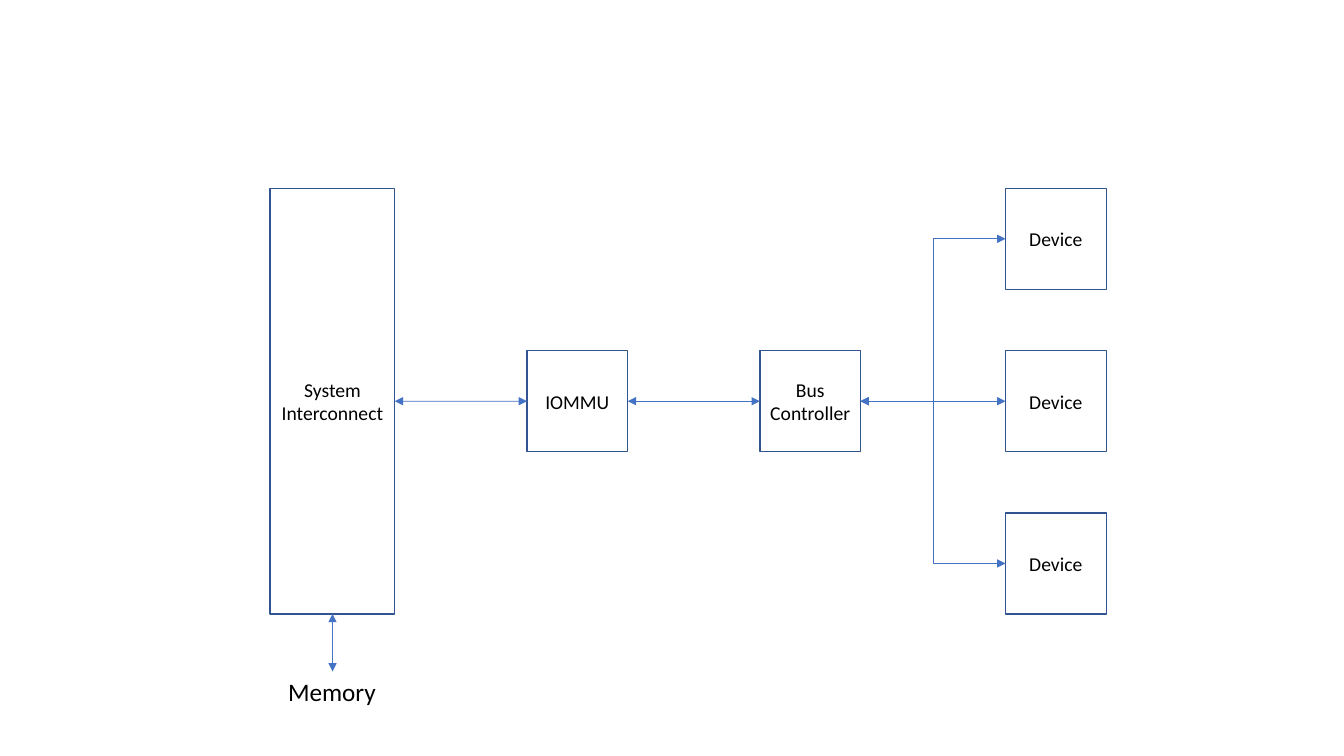
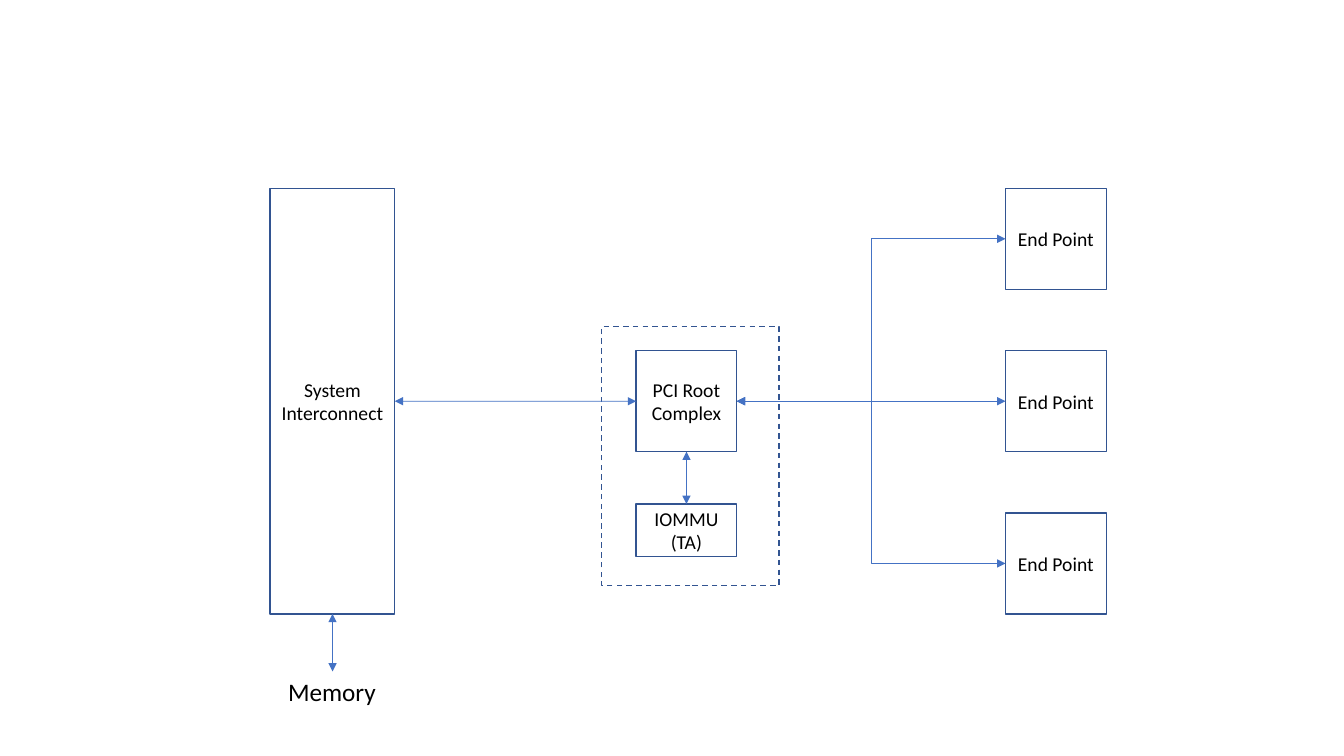
from pptx import Presentation
from pptx.dml.color import RGBColor
from pptx.enum.dml import MSO_LINE
from pptx.enum.shapes import MSO_CONNECTOR, MSO_SHAPE
from pptx.enum.text import MSO_ANCHOR, MSO_AUTO_SIZE, PP_ALIGN
from pptx.util import Cm, Pt
from lxml.etree import SubElement
from pptx.oxml.ns import qn

WHITE = RGBColor(0xFF, 0xFF, 0xFF)
BLACK = RGBColor(0x00, 0x00, 0x00)
OUTLINE = RGBColor(0x32, 0x54, 0x91)
ARROW = RGBColor(0x44, 0x72, 0xC4)

# Shared layout, in centimetres
SIDE = 2.54
TOP, ROW_STEP = 4.75, 4.09
MIDDLE = TOP + ROW_STEP
COLUMN_HEIGHT = 2 * ROW_STEP + SIDE
DEVICE_LEFT = 25.34

# Connection sites of a rectangle
ABOVE, LEFT, BELOW, RIGHT = range(4)


def add_box(page, text, left, top, width=SIDE, height=SIDE):
    box = page.shapes.add_shape(MSO_SHAPE.RECTANGLE, Cm(left), Cm(top), Cm(width), Cm(height))
    box.shadow.inherit = False
    box.fill.solid()
    box.fill.fore_color.rgb = WHITE
    box.line.color.rgb = OUTLINE
    box.line.width = Pt(1)
    box.text_frame.text = text
    box.text_frame.word_wrap = True
    box.text_frame.vertical_anchor = MSO_ANCHOR.MIDDLE
    for para in box.text_frame.paragraphs:
        para.alignment = PP_ALIGN.CENTER
        for span in para.runs:
            span.font.color.rgb = BLACK
            for name, value in {"name": "Calibri", "size": Pt(14)}.items():
                setattr(span.font, name, value)
    return box


def add_link(page, start, start_site, end, end_site, kind=MSO_CONNECTOR.STRAIGHT):
    link = page.shapes.add_connector(kind, 0, 0, 0, 0)
    link.begin_connect(start, start_site)
    link.end_connect(end, end_site)
    link.line.color.rgb = ARROW
    link.line.width = Pt(0.5)
    for tag in ("a:headEnd", "a:tailEnd"):
        SubElement(link.line._get_or_add_ln(), qn(tag), type="triangle")
    SubElement(link._element.spPr, qn("a:effectLst"))


deck = Presentation()
deck.slide_width, deck.slide_height = Cm(33.87), Cm(19.05)

for device_name in ("Device", "End Point"):
    page = deck.slides.add_slide(deck.slide_layouts[6])
    with_root_complex = device_name == "End Point"

    # Dashed frame behind the root complex
    if with_root_complex:
        frame = add_box(page, "", 15.16, 8.23, 4.47, 6.53)
        frame.line.dash_style = MSO_LINE.DASH

    # System interconnect and memory
    interconnect = add_box(page, "System Interconnect", 6.81, TOP, 3.14, COLUMN_HEIGHT)
    memory = page.shapes.add_textbox(Cm(7.01), Cm(16.92), Cm(2.74), Cm(1.02))
    memory.text_frame.word_wrap = False
    memory.text_frame.auto_size = MSO_AUTO_SIZE.SHAPE_TO_FIT_TEXT
    span = memory.text_frame.paragraphs[0].add_run()
    span.text = "Memory"
    span.font.color.rgb = BLACK
    for name, value in {"name": "Calibri", "size": Pt(18)}.items():
        setattr(span.font, name, value)
    add_link(page, interconnect, BELOW, memory, ABOVE)

    # Path from the interconnect to the device hub
    if with_root_complex:
        hub = add_box(page, "PCI Root Complex", 16.03, MIDDLE)
        iommu = add_box(page, "IOMMU\n(TA)", 16.03, 12.7, SIDE, 1.32)
        add_link(page, iommu, ABOVE, hub, BELOW)
        add_link(page, interconnect, RIGHT, hub, LEFT)
    else:
        iommu = add_box(page, "IOMMU", 13.28, MIDDLE)
        hub = add_box(page, "Bus Controller", 19.15, MIDDLE)
        add_link(page, interconnect, RIGHT, iommu, LEFT)
        add_link(page, iommu, RIGHT, hub, LEFT)

    # Devices fanned out from the hub
    for row in range(3):
        device = add_box(page, device_name, DEVICE_LEFT, TOP + row * ROW_STEP)
        add_link(page, hub, RIGHT, device, LEFT, MSO_CONNECTOR.ELBOW)

deck.save("out.pptx")
